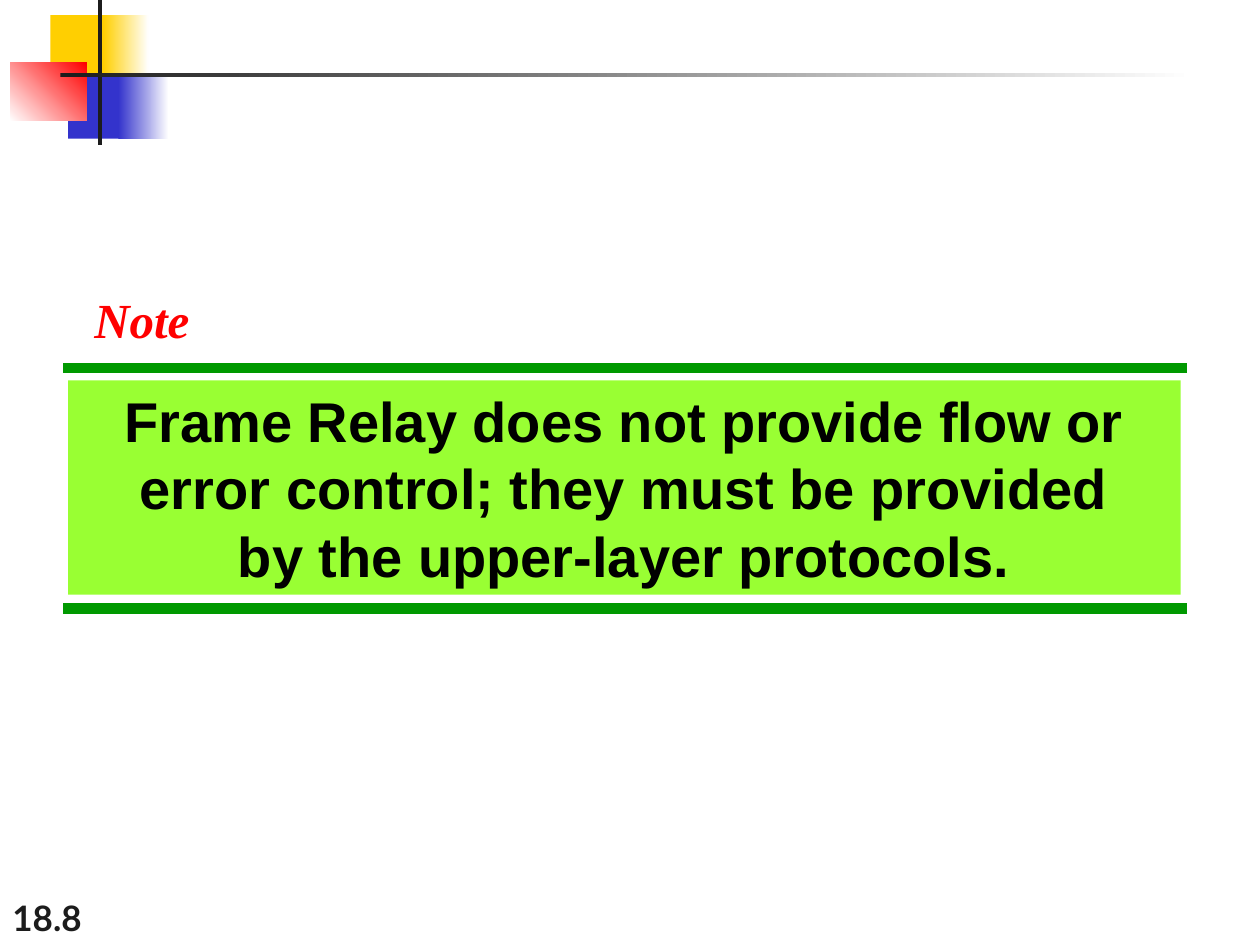
import pptx
import pptx.dml.color
import pptx.enum.shapes
import pptx.enum.text
import pptx.oxml.ns
import pptx.util
import lxml.etree

COLORS = {
    "yellow": "FFCF01", "blue": "3333CC", "red": "FF0000", "ink": "1C1C1C",
    "white": "FFFFFF", "green": "009900", "lime": "99FF33", "black": "000000",
}
COLS, ROWS = 100, 75
WIDTH, HEIGHT = pptx.util.Inches(10), pptx.util.Inches(7.5)


def rgb(name):
    return pptx.dml.color.RGBColor.from_string(COLORS[name])


def grid(col, row):
    return int(WIDTH * col / COLS), int(HEIGHT * row / ROWS)


def add_rect(s, box, *colors, angle=0):
    sp = s.shapes.add_shape(pptx.enum.shapes.MSO_SHAPE.RECTANGLE,
                            *grid(*box[:2]), *grid(*box[2:]))
    sp.shadow.inherit = False
    sp.line.fill.background()
    if len(colors) == 1:
        sp.fill.solid()
        sp.fill.fore_color.rgb = rgb(colors[0])
    else:
        sp.fill.gradient()
        sp.fill.gradient_angle = angle
        for stop, color in zip(sp.fill.gradient_stops, colors):
            stop.color.rgb = rgb(color)
    return sp


def add_rule(s, left, right, row):
    line = s.shapes.add_connector(pptx.enum.shapes.MSO_CONNECTOR.STRAIGHT,
                                  *grid(left, row), *grid(right, row))
    line.line.color.rgb = rgb("green")
    line.line.width = pptx.util.Pt(6)
    lxml.etree.SubElement(line._element.spPr, pptx.oxml.ns.qn("a:effectLst"))


def write(sp, lines, color, font, frame, align=pptx.enum.text.PP_ALIGN.LEFT):
    tf = sp.text_frame
    for name, value in frame.items():
        setattr(tf, name, value)
    for i, line in enumerate(lines):
        p = tf.add_paragraph() if i else tf.paragraphs[0]
        p.alignment = align
        r = p.add_run()
        r.text = line
        for name, value in font.items():
            setattr(r.font, name, value)
        r.font.color.rgb = rgb(color)


def add_text(s, box, text, color, font, frame):
    sp = s.shapes.add_textbox(*grid(*box[:2]), *grid(*box[2:]))
    write(sp, [text], color, font, frame)


def add_ornament(s):
    add_rect(s, (4, 1.2, 4.8, 5.2), "yellow")
    add_rect(s, (8.2, 1.2, 3.6, 5.2), "yellow", "white")
    add_rect(s, (5.4, 5.8, 4.6, 5.2), "blue")
    add_rect(s, (9.4, 5.8, 4, 5.2), "blue", "white")
    add_rect(s, (0.8, 5, 6.1, 4.6), "white", "red", angle=45)
    add_rect(s, (7.8, 0, 0.3, 11.5), "ink")
    add_rect(s, (4.8, 5.8, 90, 0.3), "ink", "white")


def add_note(s):
    anchor = pptx.enum.text.MSO_ANCHOR.TOP
    grow = pptx.enum.text.MSO_AUTO_SIZE.SHAPE_TO_FIT_TEXT
    for row in (29.2, 48.3):
        add_rule(s, 5, 94.2, row)
    sp = add_rect(s, (5.4, 30.2, 88.3, 17), "lime")
    write(sp,
          ["Frame Relay does not provide flow or error control; they must be provided",
           "by the upper-layer protocols."],
          "black",
          {"name": "Arial", "size": pptx.util.Pt(32), "bold": True},
          {"word_wrap": True, "vertical_anchor": anchor, "auto_size": grow},
          pptx.enum.text.PP_ALIGN.CENTER)
    add_text(s, (6.5, 22.5, 9.6, 5.7), "Note", "red",
             {"name": "Times New Roman", "size": pptx.util.Pt(28),
              "bold": True, "italic": True},
             {"word_wrap": False, "vertical_anchor": anchor, "auto_size": grow})


def main():
    prs = pptx.Presentation()
    prs.slide_width, prs.slide_height = WIDTH, HEIGHT
    s = prs.slides.add_slide(prs.slide_layouts[6])
    add_text(s, (0, 70, 20.8, 5), "18.8", "ink",
             {"name": "Lato", "size": pptx.util.Pt(20), "bold": True},
             {"word_wrap": True,
              "vertical_anchor": pptx.enum.text.MSO_ANCHOR.BOTTOM})
    add_ornament(s)
    add_note(s)
    prs.save("out.pptx")


if __name__ == "__main__":
    main()
